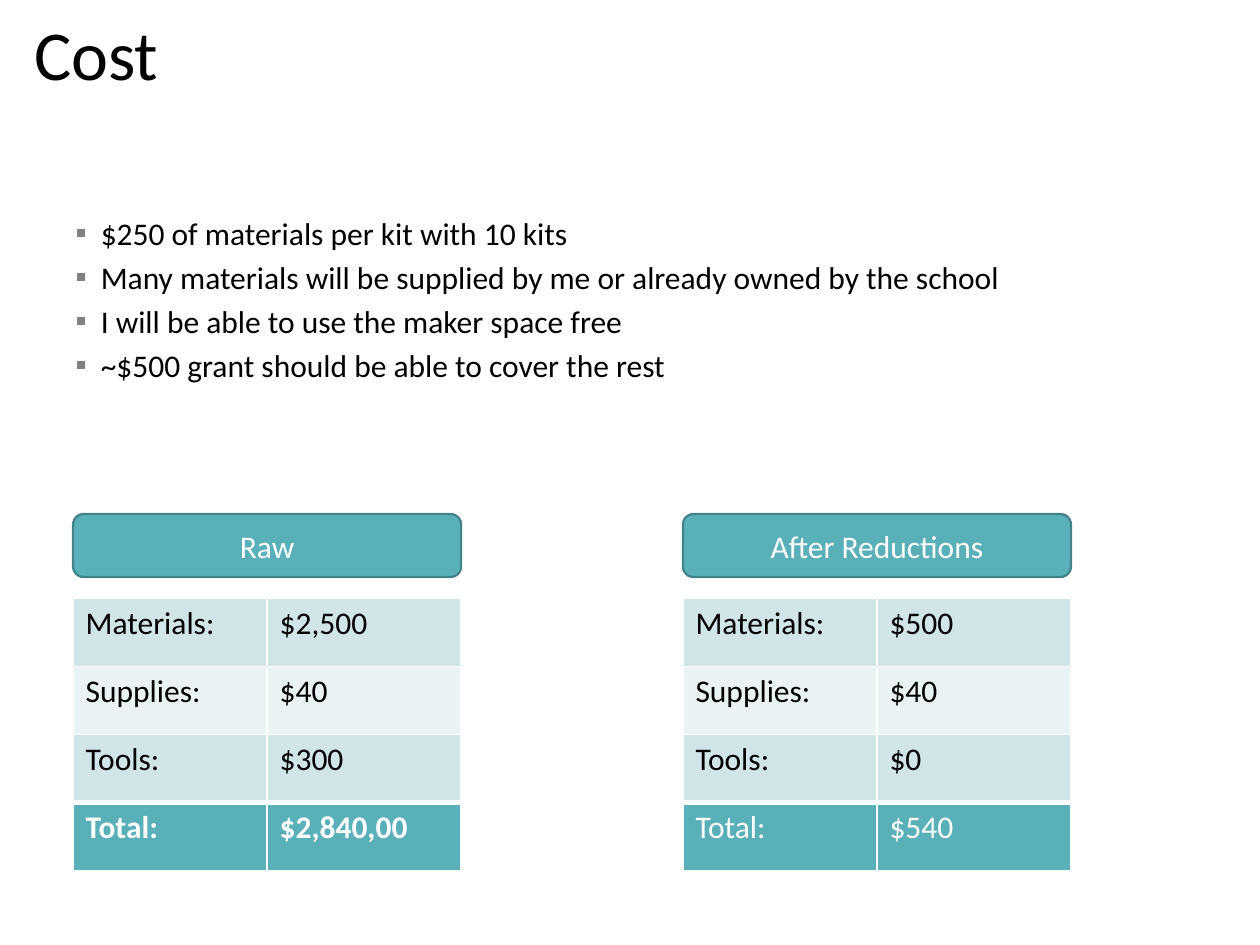
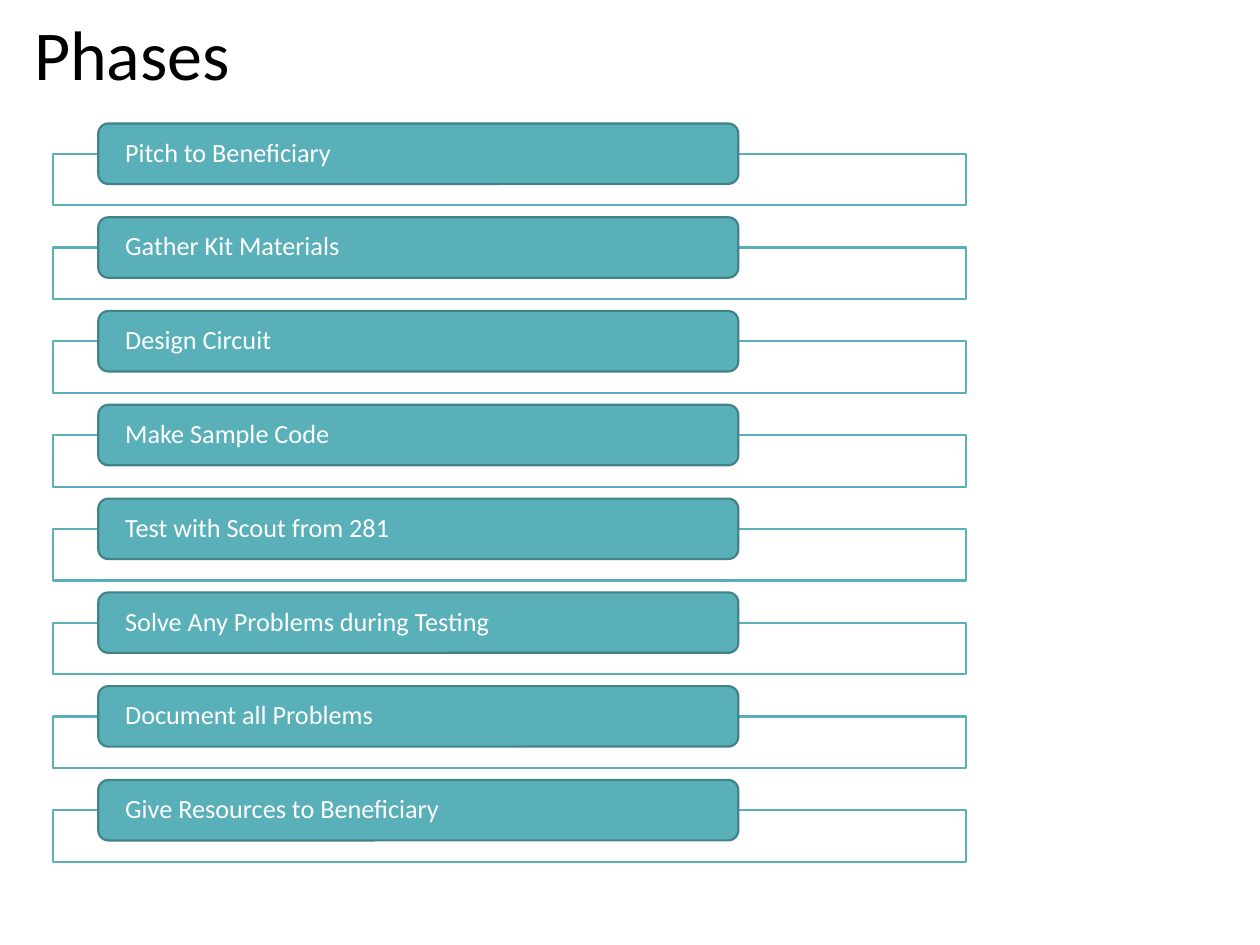
from pptx import Presentation
from pptx.dml.color import RGBColor
from pptx.enum.shapes import MSO_SHAPE
from pptx.enum.text import MSO_ANCHOR, MSO_AUTO_SIZE, PP_ALIGN
from pptx.oxml.ns import qn
from pptx.util import Inches, Pt
from lxml.etree import SubElement

FONT = "Calibri"
BLACK, WHITE, GRAY = "000000", "FFFFFF", "808080"
TEAL, DARK_TEAL = "59B0B9", "428289"
BAND_FILLS = ("D1E4E6", "EAF2F3")

COST_POINTS = [
    "$250 of materials per kit with 10 kits",
    "Many materials will be supplied by me or already owned by the school",
    "I will be able to use the maker space free",
    "~$500 grant should be able to cover the rest",
]
COST_ITEMS = ["Materials:", "Supplies:", "Tools:", "Total:"]
BUDGETS = [
    {"name": "Raw", "left": 0.58, "amounts": ["$2,500", "$40", "$300", "$2,840,00"], "bold_total": True},
    {"name": "After Reductions", "left": 5.42, "amounts": ["$500", "$40", "$0", "$540"], "bold_total": False},
]
PHASES = [
    "Pitch to Beneficiary",
    "Gather Kit Materials",
    "Design Circuit",
    "Make Sample Code",
    "Test with Scout from 281",
    "Solve Any Problems during Testing",
    "Document all Problems",
    "Give Resources to Beneficiary",
]
BUDGET_WIDTH, ROW_HEIGHT = 3.08, 0.54
FIRST_PHASE_TOP, LAST_PHASE_TOP = 0.98, 6.19


def color(value):
    return RGBColor.from_string(value)


def place(shape, left, top, width, height):
    shape.left, shape.top = Inches(left), Inches(top)
    shape.width, shape.height = Inches(width), Inches(height)


def add_span(para, text, size, text_color, bold=False):
    span = para.add_run()
    span.text = text
    span.font.name = FONT
    span.font.size = Pt(size)
    span.font.bold = bold
    span.font.color.rgb = color(text_color)


def add_page(deck, layout, title_text):
    page = deck.slides.add_slide(deck.slide_layouts.get_by_name(layout))
    title = page.shapes.title
    place(title, 0.17, 0.08, 8.67, 0.67)
    frame = title.text_frame
    frame.auto_size = MSO_AUTO_SIZE.NONE
    frame.vertical_anchor = MSO_ANCHOR.MIDDLE
    para = frame.paragraphs[0]
    para.alignment = PP_ALIGN.LEFT
    add_span(para, title_text, 40, BLACK)
    return page


def add_box(page, kind, left, top, width, height, fill, line):
    box = page.shapes.add_shape(kind, Inches(left), Inches(top), Inches(width), Inches(height))
    box.shadow.inherit = False
    box.fill.solid()
    box.fill.fore_color.rgb = color(fill)
    box.line.color.rgb = color(line)
    box.line.width = Pt(1.25)
    return box


def add_label(page, left, top, width, height, text, size, alignment):
    box = add_box(page, MSO_SHAPE.ROUNDED_RECTANGLE, left, top, width, height, TEAL, DARK_TEAL)
    box.text_frame.vertical_anchor = MSO_ANCHOR.MIDDLE
    para = box.text_frame.paragraphs[0]
    para.alignment = alignment
    add_span(para, text, size, WHITE)
    return box


def set_bullet(para):
    properties = para._p.get_or_add_pPr()
    properties.set("marL", str(Inches(0.2)))
    properties.set("indent", str(-Inches(0.2)))
    bullet_color = SubElement(properties, qn("a:buClr"))
    SubElement(bullet_color, qn("a:srgbClr"), val=GRAY)
    SubElement(properties, qn("a:buFont"), typeface=FONT)
    SubElement(properties, qn("a:buChar"), char="▪")


def set_borders(cell, top, bottom):
    properties = cell._tc.get_or_add_tcPr()
    for side, width in (("lnL", 1), ("lnR", 1), ("lnT", top), ("lnB", bottom)):
        line = SubElement(properties, qn(f"a:{side}"), w=str(Pt(width)))
        fill = SubElement(line, qn("a:solidFill"))
        SubElement(fill, qn("a:srgbClr"), val=WHITE)


def add_points(page, points):
    body = page.placeholders[1]
    place(body, 0.5, 1.42, 8.33, 2.25)
    frame = body.text_frame
    frame.auto_size = MSO_AUTO_SIZE.NONE
    frame.vertical_anchor = MSO_ANCHOR.MIDDLE
    frame.margin_bottom = Inches(0.4)
    for index, point in enumerate(points):
        para = frame.add_paragraph() if index else frame.paragraphs[0]
        para.space_before = Pt(3.6)
        set_bullet(para)
        add_span(para, point, 18, BLACK)


def add_budget(page, budget):
    left = budget["left"]
    add_label(page, left, 4.08, BUDGET_WIDTH, 0.5, budget["name"], 18, PP_ALIGN.CENTER)
    count = len(COST_ITEMS)
    table = page.shapes.add_table(
        count, 2, Inches(left), Inches(4.75), Inches(BUDGET_WIDTH), Inches(ROW_HEIGHT * count)
    ).table
    table.first_row = table.horz_banding = False
    for row, texts in enumerate(zip(COST_ITEMS, budget["amounts"])):
        is_total = row == count - 1
        for column, text in enumerate(texts):
            cell = table.cell(row, column)
            set_borders(cell, 3 if is_total else 1, 3 if row == count - 2 else 1)
            cell.fill.solid()
            cell.fill.fore_color.rgb = color(TEAL if is_total else BAND_FILLS[row % 2])
            add_span(cell.text_frame.paragraphs[0], text, 18,
                     WHITE if is_total else BLACK, is_total and budget["bold_total"])


def add_phases(page, phases):
    pitch = (LAST_PHASE_TOP - FIRST_PHASE_TOP) / (len(phases) - 1)
    for index, phase in enumerate(phases):
        top = FIRST_PHASE_TOP + index * pitch
        add_box(page, MSO_SHAPE.RECTANGLE, 0.42, top + 0.24, 7.25, 0.41, WHITE, TEAL)
        label = add_label(page, 0.78, top, 5.08, 0.48, phase, 15, PP_ALIGN.LEFT)
        frame = label.text_frame
        frame.margin_left = frame.margin_right = Inches(0.19)
        frame.margin_top = frame.margin_bottom = 0
        frame.paragraphs[0].line_spacing = 0.9


def main():
    deck = Presentation()
    deck.slide_width, deck.slide_height = Inches(10), Inches(7.5)
    cost_page = add_page(deck, "Title and Content", "Cost")
    add_points(cost_page, COST_POINTS)
    for budget in BUDGETS:
        add_budget(cost_page, budget)
    phases_page = add_page(deck, "Title Only", "Phases")
    add_phases(phases_page, PHASES)
    deck.save("out.pptx")


if __name__ == "__main__":
    main()
